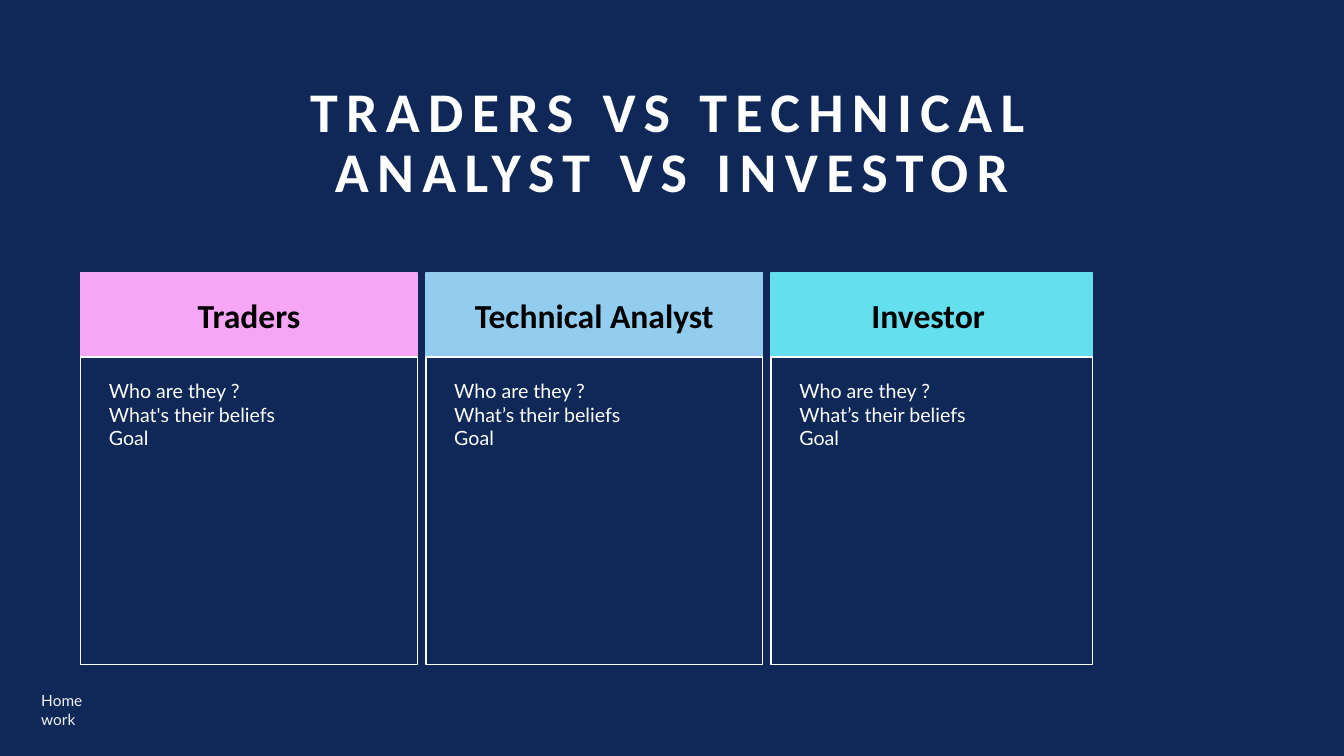
from pptx import Presentation
from pptx.dml.color import RGBColor
from pptx.enum.shapes import MSO_SHAPE as Shape
from pptx.enum.text import MSO_ANCHOR as Anchor, PP_ALIGN as Align
from pptx.util import Inches, Pt

NAVY = RGBColor(0x10, 0x28, 0x57)
PINK = RGBColor(0xF6, 0xA6, 0xF4)
BLUE = RGBColor(0x92, 0xCD, 0xF0)
CYAN = RGBColor(0x64, 0xDF, 0xED)
WHITE = RGBColor(0xFF, 0xFF, 0xFF)
PALE = RGBColor(0xF2, 0xF2, 0xF2)
BLACK = RGBColor(0x00, 0x00, 0x00)

# Percent of the slide's width or height
LEFT, PITCH = 6.0, 25.69
HEAD_TOP, HEAD_HEIGHT, BODY_HEIGHT = 36.13, 11.07, 40.67

# Heading, heading colour, column width, questions
COLUMNS = [
    ("Traders", PINK, 25.06,
     ["Who are they ?", "What's their beliefs", "Goal"]),
    ("Technical Analyst", BLUE, 25.06,
     ["Who are they ?", "What’s their beliefs", "Goal"]),
    ("Investor ", CYAN, 23.93,
     ["Who are they ?", "What’s their beliefs", "Goal"]),
]


class Board:
    """One slide whose elements are placed in percent of its size."""
    heading_font = "Calibri"
    body_font = "Lato"

    def __init__(self, prs):
        self.width, self.height = prs.slide_width, prs.slide_height
        self.s = prs.slides.add_slide(prs.slide_layouts[6])
        fill = self.s.background.fill
        fill.solid()
        fill.fore_color.rgb = NAVY

    def area(self, x, y, w, h):
        return [round(share * size / 100) for share, size in
                ((x, self.width), (y, self.height),
                 (w, self.width), (h, self.height))]

    def add_text(self, sp, lines, font, size, color, bold=False,
                 align=Align.LEFT, anchor=Anchor.TOP, spacing=None,
                 tracking=0):
        tf = sp.text_frame
        tf.word_wrap = True
        tf.vertical_anchor = anchor
        for i, line in enumerate(lines):
            p = tf.add_paragraph() if i else tf.paragraphs[0]
            p.alignment = align
            p.line_spacing = spacing
            r = p.add_run()
            r.text = line
            r.font.name, r.font.size, r.font.bold = font, Pt(size), bold
            r.font.color.rgb = color
            if tracking:
                r.font._element.set("spc", str(tracking * 100))

    def panel(self, area, line, fill=None):
        sp = self.s.shapes.add_shape(Shape.RECTANGLE, *self.area(*area))
        sp.shadow.inherit = False
        sp.line.color.rgb = line
        sp.line.width = Pt(1)
        if fill is None:
            sp.fill.background()
        else:
            sp.fill.solid()
            sp.fill.fore_color.rgb = fill
        return sp

    def title(self, text):
        sp = self.s.shapes.add_textbox(*self.area(13.58, 12.13, 72.84, 15.6))
        self.add_text(sp, [text], self.heading_font, 40, WHITE, bold=True,
                      align=Align.CENTER, anchor=Anchor.BOTTOM,
                      spacing=0.9, tracking=6)

    def header(self, area, text, color):
        sp = self.panel(area, color, color)
        self.add_text(sp, [text], self.heading_font, 24, BLACK, bold=True,
                      align=Align.CENTER, anchor=Anchor.MIDDLE)

    def questions(self, area, lines):
        sp = self.panel(area, WHITE)
        tf = sp.text_frame
        tf.margin_left, tf.margin_top = Inches(0.28), Inches(0.22)
        tf.margin_right = Inches(0.3)
        self.add_text(sp, lines, self.body_font, 14, WHITE)

    def footnote(self, text):
        sp = self.s.shapes.add_textbox(*self.area(2.33, 90.8, 7.13, 3.87))
        sp.text_frame.margin_right = Inches(0.25)
        self.add_text(sp, [text], self.body_font, 11, PALE)


def main():
    prs = Presentation()
    prs.slide_width, prs.slide_height = Inches(13.33), Inches(7.5)
    board = Board(prs)
    board.title("TRADERS VS TECHNICAL ANALYST VS INVESTOR")
    for i, (heading, color, width, lines) in enumerate(COLUMNS):
        x = LEFT + i * PITCH
        board.header((x, HEAD_TOP, width, HEAD_HEIGHT), heading, color)
        board.questions((x, HEAD_TOP + HEAD_HEIGHT, width, BODY_HEIGHT), lines)
    board.footnote("Home work")
    prs.save("out.pptx")


if __name__ == "__main__":
    main()
